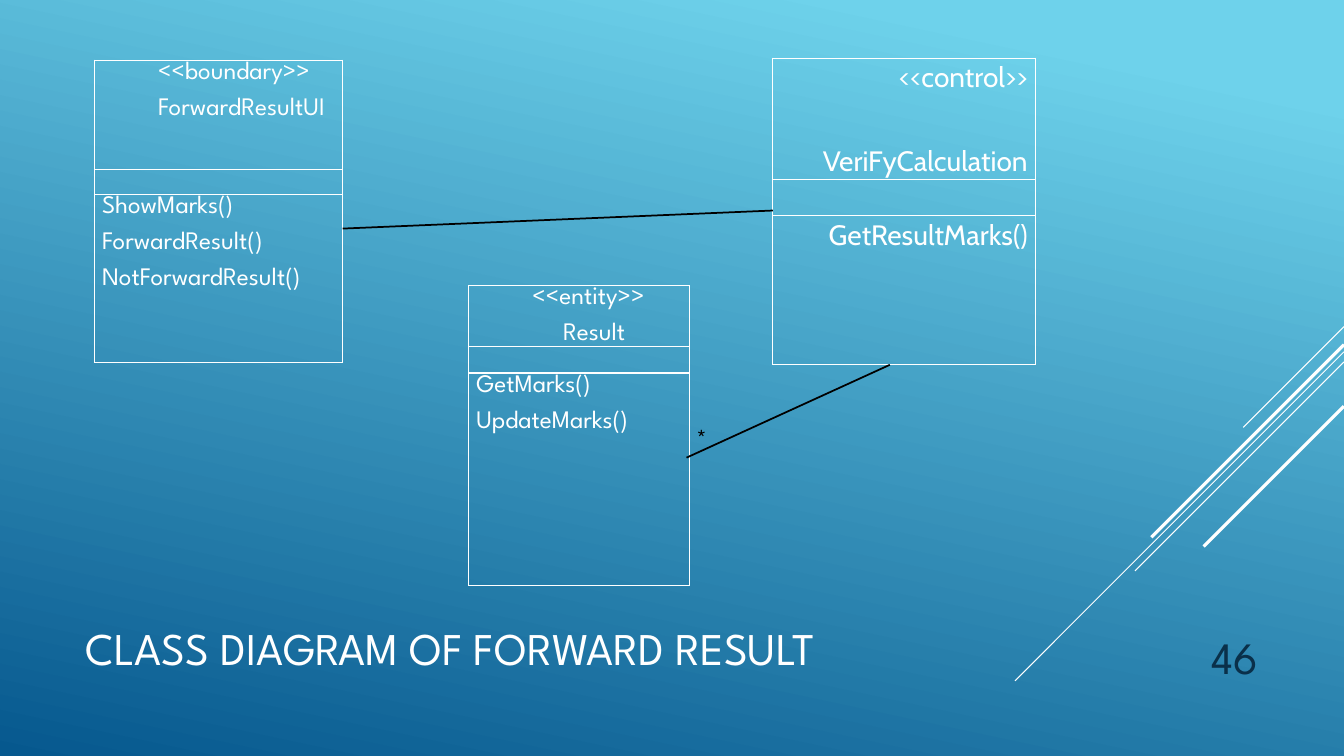
"""Build the class diagram slide for the forward result use case."""
from dataclasses import dataclass

from lxml.etree import SubElement
from pptx import Presentation
from pptx.dml.color import RGBColor
from pptx.enum.shapes import MSO_CONNECTOR
from pptx.enum.text import MSO_ANCHOR, MSO_AUTO_SIZE, PP_ALIGN
from pptx.oxml.ns import qn
from pptx.util import Pt

COLORS = {
    "sky": "6ED2EB",
    "ocean": "06588E",
    "chalk": "FFFFFF",
    "ink": "000000",
    "navy": "0A304A",
}
SPARTAN = "League Spartan"
CABIN = "Cabin"
SLIDE_WIDTH, SLIDE_HEIGHT = 960, 540


@dataclass(frozen=True)
class Entry:
    """One line of text in a class box, with its indent and space above."""
    text: str
    indent: float = 0
    before: float = 0


@dataclass(frozen=True)
class ClassBox:
    """A class with its name, an empty attribute row and its operations."""
    left: float
    top: float
    width: float
    heights: tuple[float, float, float]
    heading: tuple[Entry, ...]
    operations: tuple[Entry, ...]
    size: float = 18
    font: str = SPARTAN
    align: PP_ALIGN = PP_ALIGN.LEFT


@dataclass(frozen=True)
class Stroke:
    """A straight line between two points."""
    start: tuple[float, float]
    end: tuple[float, float]
    color: str
    weight: float


@dataclass(frozen=True)
class Label:
    """A free-standing piece of text."""
    text: str
    frame: tuple[float, float, float, float]
    size: float
    color: str
    align: PP_ALIGN
    anchor: MSO_ANCHOR
    wrap: bool


CLASSES = (
    ClassBox(67.5, 43, 177, (78, 18, 120),
             (Entry("<<boundary>>", 40), Entry("ForwardResultUI", 40)),
             (Entry("ShowMarks()"), Entry("ForwardResult()"),
              Entry("NotForwardResult()"))),
    ClassBox(552, 41.6, 187.5, (86.5, 26, 106.5),
             (Entry("<<control>>"), Entry("VeriFyCalculation", before=26)),
             (Entry("GetResultMarks()"),), 20, CABIN, PP_ALIGN.RIGHT),
    ClassBox(334.8, 204, 157.7, (43.5, 19, 151.5),
             (Entry("<<entity>>", 40), Entry("Result", 62)),
             (Entry("GetMarks()"), Entry("UpdateMarks()"))),
)
DIAGONALS = ((233.3, 72, 0.75), (251.3, 235, 0.75), (258.5, 149.3, 0.75),
             (246.2, 137.6, 2.25), (290.2, 100.2, 2.25))
ASSOCIATIONS = (
    Stroke((244.8, 163.3), (552, 150.4), "ink", 1.25),
    Stroke((635.6, 260.6), (490.4, 326.9), "ink", 1.25),
)
LABELS = (
    Label("*", (490.4, 298, 22.3, 28.8), 18, "ink",
          PP_ALIGN.LEFT, MSO_ANCHOR.TOP, False),
    Label("46", (815.8, 439.2, 90, 52.6), 32, "navy",
          PP_ALIGN.RIGHT, MSO_ANCHOR.BOTTOM, True),
)


def rgb(name: str) -> RGBColor:
    """Return a named colour."""
    return RGBColor.from_string(COLORS[name])


def write(paragraph, text: str, *, size: float, font: str = SPARTAN,
          color: str = "chalk", align: PP_ALIGN = PP_ALIGN.LEFT) -> None:
    """Put formatted text into a paragraph."""
    paragraph.alignment = align
    run = paragraph.add_run()
    run.text = text
    run.font.size = Pt(size)
    run.font.name = font
    run.font.color.rgb = rgb(color)


def paint_background(slide) -> None:
    """Fill the background with the sky to ocean gradient."""
    fill = slide.background.fill
    fill.gradient()
    fill.gradient_angle = 258
    for stop, position, name in zip(fill.gradient_stops, (0.1, 1), ("sky", "ocean")):
        stop.position = position
        stop.color.rgb = rgb(name)


def draw_stroke(slide, stroke: Stroke) -> None:
    """Draw one straight line without a shadow."""
    line = slide.shapes.add_connector(
        MSO_CONNECTOR.STRAIGHT, *map(Pt, stroke.start + stroke.end))
    line.line.color.rgb = rgb(stroke.color)
    line.line.width = Pt(stroke.weight)
    SubElement(line._element.spPr, qn("a:effectLst"))


def outline_cell(cell) -> None:
    """Give a cell a thin border, no fill and narrow margins."""
    properties = cell._tc.get_or_add_tcPr()
    for side in ("a:lnL", "a:lnR", "a:lnT", "a:lnB"):
        border = SubElement(properties, qn(side), w=str(Pt(1)))
        solid = SubElement(border, qn("a:solidFill"))
        SubElement(solid, qn("a:srgbClr"), val=COLORS["chalk"])
    cell.fill.background()
    cell.margin_left = cell.margin_right = Pt(5.4)
    cell.margin_top = cell.margin_bottom = 0


def fill_cell(cell, entries: tuple[Entry, ...], box: ClassBox) -> None:
    """Write the entries of one row of a class box."""
    for index, entry in enumerate(entries):
        frame = cell.text_frame
        paragraph = frame.add_paragraph() if index else frame.paragraphs[0]
        paragraph.line_spacing = 1.07
        paragraph.space_before = Pt(entry.before)
        paragraph.space_after = Pt(8)
        paragraph._p.get_or_add_pPr().set("marL", str(Pt(entry.indent)))
        write(paragraph, entry.text, size=box.size, font=box.font, align=box.align)
    if not entries:
        paragraph = cell.text_frame.paragraphs[0]
        SubElement(paragraph._p, qn("a:endParaRPr"), sz="1200")


def draw_class(slide, box: ClassBox) -> None:
    """Draw a class as a table of three rows."""
    table = slide.shapes.add_table(
        3, 1, Pt(box.left), Pt(box.top), Pt(box.width), Pt(sum(box.heights))).table
    table.first_row = table.horz_banding = False
    for row, height, entries in zip(
            table.rows, box.heights, (box.heading, (), box.operations)):
        row.height = Pt(height)
        outline_cell(row.cells[0])
        fill_cell(row.cells[0], entries, box)


def draw_label(slide, label: Label) -> None:
    """Draw a free-standing text."""
    frame = slide.shapes.add_textbox(*map(Pt, label.frame)).text_frame
    frame.word_wrap = label.wrap
    frame.vertical_anchor = label.anchor
    write(frame.paragraphs[0], label.text, size=label.size,
          color=label.color, align=label.align)


def place_title(slide) -> None:
    """Place the slide title at the foot of the slide."""
    title = slide.shapes.title
    title.left, title.top, title.width, title.height = map(Pt, (54, 453.6, 672, 18))
    title.text_frame.auto_size = MSO_AUTO_SIZE.NONE
    title.text_frame.vertical_anchor = MSO_ANCHOR.MIDDLE
    write(title.text_frame.paragraphs[0], "CLASS DIAGRAM OF FORWARD RESULT", size=32.4)


def main() -> None:
    """Build and save the slide."""
    deck = Presentation()
    deck.slide_width, deck.slide_height = Pt(SLIDE_WIDTH), Pt(SLIDE_HEIGHT)
    slide = deck.slides.add_slide(deck.slide_layouts.get_by_name("Title Only"))
    paint_background(slide)
    for top, reach, weight in DIAGONALS:
        draw_stroke(slide, Stroke((SLIDE_WIDTH, top),
                                  (SLIDE_WIDTH - reach, top + reach), "chalk", weight))
    place_title(slide)
    for box in CLASSES:
        draw_class(slide, box)
    for association in ASSOCIATIONS:
        draw_stroke(slide, association)
    for label in LABELS:
        draw_label(slide, label)
    deck.save("out.pptx")


if __name__ == "__main__":
    main()
